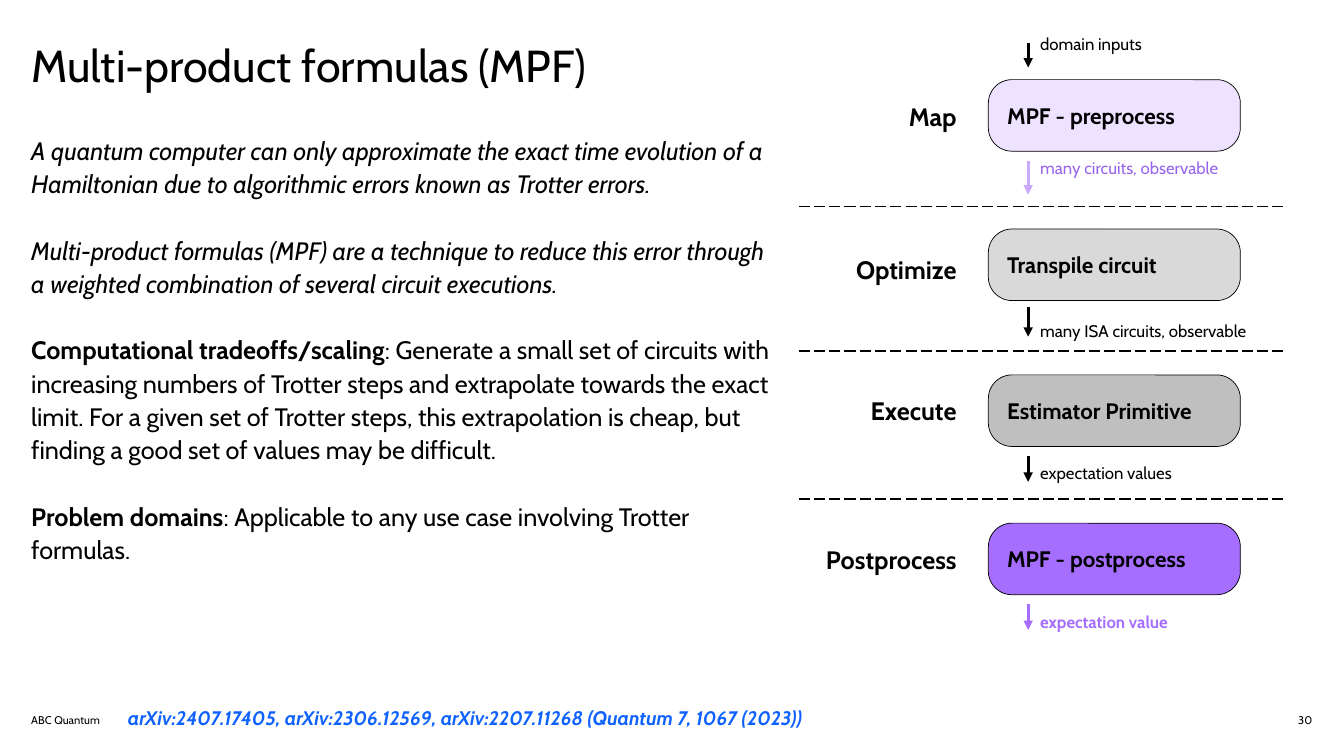
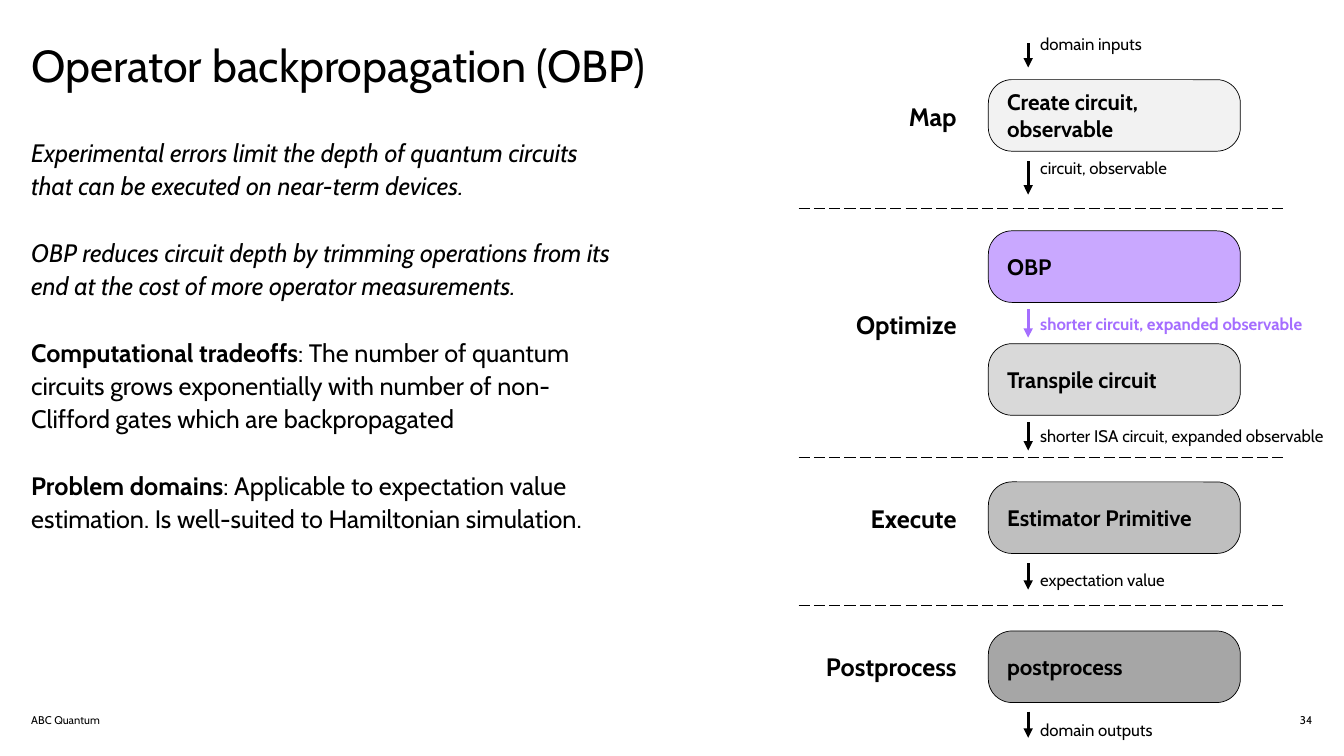
from lxml.etree import SubElement
from pptx import Presentation
from pptx.dml.color import RGBColor
from pptx.enum.dml import MSO_LINE
from pptx.enum.shapes import MSO_CONNECTOR, MSO_SHAPE
from pptx.enum.text import MSO_ANCHOR, PP_ALIGN
from pptx.oxml.ns import qn
from pptx.util import Pt

FONT = "Cabin"
BLACK = RGBColor(0x00, 0x00, 0x00)
BLUE = RGBColor(0x0F, 0x62, 0xFE)
PURPLE = RGBColor(0xA5, 0x6E, 0xFF)
DEEP_PURPLE = RGBColor(0x98, 0x65, 0xED)
LIGHT_PURPLE = RGBColor(0xC9, 0xA8, 0xFF)
PALE_PURPLE = RGBColor(0xED, 0xE2, 0xFF)
PALE_GRAY = RGBColor(0xF2, 0xF2, 0xF2)
LIGHT_GRAY = RGBColor(0xD9, 0xD9, 0xD9)
MID_GRAY = RGBColor(0xBF, 0xBF, 0xBF)
DARK_GRAY = RGBColor(0xA6, 0xA6, 0xA6)

SLIDE_W, SLIDE_H = 960, 540
MARGIN = 22.3
STAGE_X, STAGE_W = 551.5, 131.8
STEP_X, STEP_W, STEP_H = 706, 180, 51.1
ARROW_X, NOTE_X = 734.4, 743
DIVIDER_X, DIVIDER_END = 570.5, 917.5
FOOTER = "ABC Quantum"
STAGES = ["Map", "Optimize", "Execute", "Postprocess"]

METHODS = [
    {
        "title": "Multi-product formulas (MPF)",
        "number": "30",
        "body_box": (94.3, 529.2),
        "body": [
            [("A quantum computer can only approximate the exact time evolution of a "
              "Hamiltonian due to algorithmic errors known as Trotter errors.", "italic")],
            [("Multi-product formulas (MPF) are a technique to reduce this error through "
              "a weighted combination of several circuit executions.", "italic")],
            [("Computational tradeoffs/scaling", "bold"),
             (": Generate a small set of circuits with increasing numbers of Trotter steps "
              "and extrapolate towards the exact limit. For a given set of Trotter steps, "
              "this extrapolation is cheap, but finding a good set of values may be "
              "difficult.", "")],
            [("Problem domains", "bold"),
             (": Applicable to any use case involving Trotter formulas.", "")],
        ],
        "reference": "arXiv:2407.17405, arXiv:2306.12569, arXiv:2207.11268 "
                     "(Quantum 7, 1067 (2023))",
        "stage_tops": [72.7, 181.4, 282.2, 388.8],
        "divider_tops": [147.6, 250.6, 356.4],
        "steps": [
            ("MPF - preprocess", 56.9, PALE_PURPLE),
            ("Transpile circuit", 163.6, LIGHT_GRAY),
            ("Estimator Primitive", 267.8, MID_GRAY),
            ("MPF - postprocess", 373.7, PURPLE),
        ],
        "flows": [
            ("domain inputs", 23.8, 31, 48.2, BLACK, BLACK, False),
            ("many circuits, observable", 113, 115.2, 139, LIGHT_PURPLE, DEEP_PURPLE, False),
            ("many ISA circuits, observable", 229, 219.6, 240.5, BLACK, BLACK, False),
            ("expectation values", 330.5, 325.4, 344.2, BLACK, BLACK, False),
            ("expectation value", 437, 431.3, 450, PURPLE, PURPLE, True),
        ],
    },
    {
        "title": "Operator backpropagation (OBP)",
        "number": "34",
        "body_box": (95.8, 415.4),
        "body": [
            [("Experimental errors limit the depth of quantum circuits that can be "
              "executed on near-term devices.", "italic")],
            [("OBP reduces circuit depth by trimming operations from its end at the cost "
              "of more operator measurements.", "italic")],
            [("Computational tradeoffs", "bold"),
             (": The number of quantum circuits grows exponentially with number of "
              "non-Clifford gates which are backpropagated", "")],
            [("Problem domains", "bold"),
             (": Applicable to expectation value estimation. Is well-suited to "
              "Hamiltonian simulation.", "")],
        ],
        "reference": "",
        "stage_tops": [72.7, 221, 359.3, 465.1],
        "divider_tops": [149, 326.9, 432.7],
        "steps": [
            ("Create circuit, observable", 56.9, PALE_GRAY),
            ("OBP", 164.9, LIGHT_PURPLE),
            ("Transpile circuit", 245.5, LIGHT_GRAY),
            ("Estimator Primitive", 344.2, MID_GRAY),
            ("postprocess", 450.7, DARK_GRAY),
        ],
        "flows": [
            ("domain inputs", 23.8, 31, 48.2, BLACK, BLACK, False),
            ("circuit, observable", 113, 115.2, 139, BLACK, BLACK, False),
            ("shorter circuit, expanded observable", 224, 221, 241.2, PURPLE, PURPLE, True),
            ("shorter ISA circuit, expanded observable", 303.8, 301.7, 321.8,
             BLACK, BLACK, False),
            ("expectation value", 406.8, 402.5, 421.2, BLACK, BLACK, False),
            ("domain outputs", 514, 508.3, 527, BLACK, BLACK, False),
        ],
    },
]


def write(frame, text, size, color=BLACK, bold=False, italic=False, align=PP_ALIGN.LEFT,
          anchor=MSO_ANCHOR.TOP, spacing=None, gap=0, insets=(0, 0)):
    frame.word_wrap = True
    frame.vertical_anchor = anchor
    frame.margin_left, frame.margin_right = (Pt(inset) for inset in insets)
    frame.margin_top = frame.margin_bottom = 0
    paragraphs = [[(text, "")]] if isinstance(text, str) else text
    for index, pieces in enumerate(paragraphs):
        paragraph = frame.add_paragraph() if index else frame.paragraphs[0]
        paragraph.alignment = align
        if spacing:
            paragraph.line_spacing = spacing
        if index:
            paragraph.space_before = Pt(gap)
        for words, style in pieces:
            run = paragraph.add_run()
            run.text = words
            run.font.name = FONT
            run.font.size = Pt(size)
            run.font.color.rgb = color
            run.font.bold = bold or style == "bold"
            run.font.italic = italic or style == "italic"


def add_text(slide, left, top, width, height, text, size, **style):
    box = slide.shapes.add_textbox(Pt(left), Pt(top), Pt(width), Pt(height))
    write(box.text_frame, text, size, **style)


def add_line(slide, start, end, color, weight):
    line = slide.shapes.add_connector(
        MSO_CONNECTOR.STRAIGHT, *(Pt(value) for value in (*start, *end)))
    line.line.color.rgb = color
    line.line.width = Pt(weight)
    SubElement(line.element.spPr, qn("a:effectLst"))
    return line


def add_divider(slide, top):
    divider = add_line(slide, (DIVIDER_X, top), (DIVIDER_END, top), BLACK, 1)
    divider.line.dash_style = MSO_LINE.LONG_DASH


def add_flow(slide, note, note_top, start, end, arrow_color, note_color, bold):
    arrow = add_line(slide, (ARROW_X, start), (ARROW_X, end), arrow_color, 2.25)
    SubElement(arrow.line._get_or_add_ln(), qn("a:tailEnd"), type="triangle")
    add_text(slide, NOTE_X, note_top, SLIDE_W - NOTE_X, 14.4, note, 12,
             color=note_color, bold=bold)


def add_step(slide, name, top, fill):
    step = slide.shapes.add_shape(
        MSO_SHAPE.ROUNDED_RECTANGLE, Pt(STEP_X), Pt(top), Pt(STEP_W), Pt(STEP_H))
    step.adjustments[0] = 0.33
    step.shadow.inherit = False
    step.fill.solid()
    step.fill.fore_color.rgb = fill
    step.line.color.rgb = BLACK
    step.line.width = Pt(0.5)
    write(step.text_frame, name, 16, bold=True, anchor=MSO_ANCHOR.MIDDLE, insets=(8.5, 22))


def add_frame(slide, title, number):
    add_text(slide, MARGIN, 23, 484, 75, title, 32, spacing=1.1)
    add_text(slide, MARGIN, 504, 65, 15, FOOTER, 8, anchor=MSO_ANCHOR.BOTTOM)
    add_text(slide, 907.4, 509.8, 30, 9.4, number, 8, align=PP_ALIGN.RIGHT,
             anchor=MSO_ANCHOR.MIDDLE)


def build_method(slide, method):
    add_frame(slide, method["title"], method["number"])
    body_top, body_width = method["body_box"]
    add_text(slide, MARGIN, body_top, body_width, 335, method["body"], 18,
             spacing=1.1, gap=23.8)
    if method["reference"]:
        add_text(slide, 91.4, 504, 566, 17.3, method["reference"], 14,
                 color=BLUE, bold=True, italic=True)
    for stage, top in zip(STAGES, method["stage_tops"]):
        add_text(slide, STAGE_X, top, STAGE_W, 21.6, stage, 18, bold=True,
                 align=PP_ALIGN.RIGHT)
    for top in method["divider_tops"]:
        add_divider(slide, top)
    for step in method["steps"]:
        add_step(slide, *step)
    for flow in method["flows"]:
        add_flow(slide, *flow)


def main():
    deck = Presentation()
    deck.slide_width, deck.slide_height = Pt(SLIDE_W), Pt(SLIDE_H)
    for method in METHODS:
        build_method(deck.slides.add_slide(deck.slide_layouts[6]), method)
    deck.save("out.pptx")


if __name__ == "__main__":
    main()
